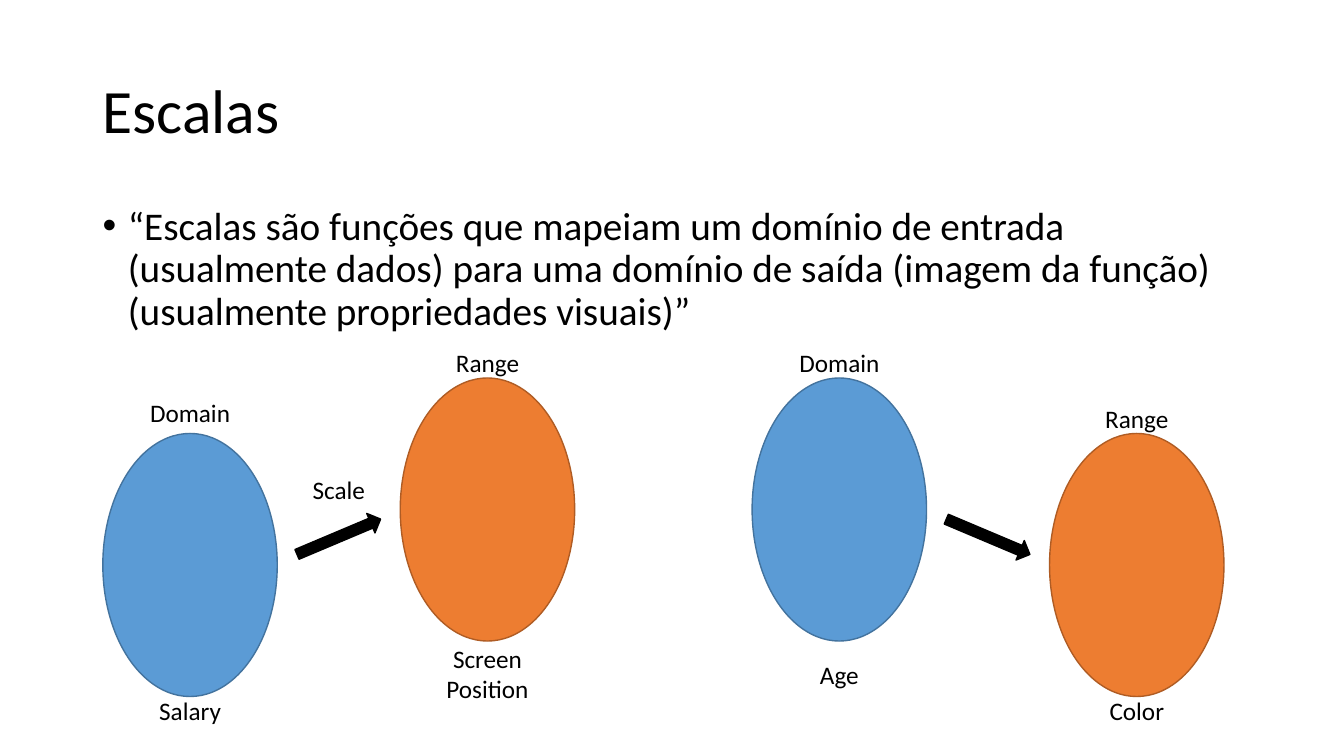
"""Build a slide explaining scales as functions from a domain to a range."""
from dataclasses import dataclass

from lxml import etree
from pptx import Presentation
from pptx.dml.color import RGBColor
from pptx.enum.shapes import MSO_SHAPE
from pptx.enum.text import MSO_ANCHOR, PP_ALIGN
from pptx.oxml.ns import qn
from pptx.slide import Slide
from pptx.text.text import _Paragraph
from pptx.util import Inches, Pt

BLACK = RGBColor(0x00, 0x00, 0x00)
BLUE = RGBColor(0x5B, 0x9B, 0xD5)
DARK_BLUE = RGBColor(0x43, 0x73, 0x9E)
ORANGE = RGBColor(0xED, 0x7D, 0x31)
DARK_ORANGE = RGBColor(0xAF, 0x5C, 0x24)

ELLIPSE, LEFT_ARROW = MSO_SHAPE.OVAL, MSO_SHAPE.LEFT_ARROW
TOP, MIDDLE = MSO_ANCHOR.TOP, MSO_ANCHOR.MIDDLE
LEFT, CENTER = PP_ALIGN.LEFT, PP_ALIGN.CENTER

FONT = "Calibri"
SET_WIDTH, SET_HEIGHT = 1.73, 2.61
LABEL_WIDTH, LABEL_HEIGHT = 1.38, 0.4
LABEL_INSET = (SET_WIDTH - LABEL_WIDTH) / 2
RANGE_OFFSET = 2.95
ARROW_OFFSET, ARROW_TOP = 1.89, 5.22
ARROW_WIDTH, ARROW_HEIGHT = 0.9, 0.21


@dataclass(frozen=True)
class ValueSet:
    """An ellipse with its role above and its example below."""
    top: float
    role: str
    role_top: float
    example: str
    example_top: float
    example_height: float = LABEL_HEIGHT


@dataclass(frozen=True)
class Mapping:
    """A domain, a range and the arrow between them."""
    left: float
    domain: ValueSet
    image: ValueSet
    rotation: float


MAPPINGS = [
    Mapping(1.02, ValueSet(4.3, "Domain", 3.89, "Salary", 6.85),
            ValueSet(3.75, "Range", 3.4, "Screen Position", 6.33, 0.71), 157.1),
    Mapping(7.46, ValueSet(3.75, "Domain", 3.4, "Age", 6.49),
            ValueSet(4.3, "Range", 3.95, "Color", 6.85), 202.9),
]


def add_text(slide: Slide, text: str, left: float, top: float, width: float,
             height: float, size: int, align: PP_ALIGN = LEFT,
             anchor: MSO_ANCHOR = TOP) -> _Paragraph:
    """Add a wrapped text box and return its paragraph."""
    box = slide.shapes.add_textbox(Inches(left), Inches(top), Inches(width), Inches(height))
    frame = box.text_frame
    frame.word_wrap = True
    frame.vertical_anchor = anchor
    paragraph = frame.paragraphs[0]
    paragraph.text = text
    paragraph.alignment = align
    paragraph.font.name = FONT
    paragraph.font.size = Pt(size)
    paragraph.font.color.rgb = BLACK
    return paragraph


def add_label(slide: Slide, text: str, left: float, top: float,
              height: float = LABEL_HEIGHT) -> None:
    """Add a centred diagram label."""
    add_text(slide, text, left, top, LABEL_WIDTH, height, 18, CENTER)


def add_figure(slide: Slide, kind: MSO_SHAPE, left: float, top: float, width: float,
               height: float, fill: RGBColor, line: RGBColor, rotation: float = 0) -> None:
    """Add a filled and outlined preset shape."""
    figure = slide.shapes.add_shape(kind, Inches(left), Inches(top),
                                    Inches(width), Inches(height))
    figure.shadow.inherit = False
    figure.fill.solid()
    figure.fill.fore_color.rgb = fill
    figure.line.color.rgb = line
    figure.line.width = Pt(1)
    figure.rotation = rotation


def add_value_set(slide: Slide, values: ValueSet, left: float,
                  fill: RGBColor, line: RGBColor) -> None:
    """Draw an ellipse and its two labels."""
    add_figure(slide, ELLIPSE, left, values.top, SET_WIDTH, SET_HEIGHT, fill, line)
    add_label(slide, values.role, left + LABEL_INSET, values.role_top)
    add_label(slide, values.example, left + LABEL_INSET, values.example_top,
              values.example_height)


def add_mapping(slide: Slide, mapping: Mapping) -> None:
    """Draw a domain, its range and the arrow joining them."""
    add_value_set(slide, mapping.domain, mapping.left, BLUE, DARK_BLUE)
    add_value_set(slide, mapping.image, mapping.left + RANGE_OFFSET, ORANGE, DARK_ORANGE)
    add_figure(slide, LEFT_ARROW, mapping.left + ARROW_OFFSET, ARROW_TOP,
               ARROW_WIDTH, ARROW_HEIGHT, BLACK, BLACK, mapping.rotation)


def add_bullet(paragraph: _Paragraph) -> None:
    """Give the paragraph a round bullet with a hanging indent."""
    properties = paragraph._p.get_or_add_pPr()
    properties.set("marL", str(Inches(0.25)))
    properties.set("indent", str(Inches(-0.25)))
    etree.SubElement(properties, qn("a:buFont")).set("typeface", "Arial")
    etree.SubElement(properties, qn("a:buChar")).set("char", "•")
    properties.append(properties.find(qn("a:defRPr")))


def main() -> None:
    """Build and save the presentation."""
    deck = Presentation()
    deck.slide_width, deck.slide_height = Inches(13.33), Inches(7.5)
    slide = deck.slides.add_slide(deck.slide_layouts[6])

    title = add_text(slide, "Escalas", 0.92, 0.4, 11.5, 1.45, 44, anchor=MIDDLE)
    title.line_spacing = 0.9

    definition = add_text(
        slide,
        "“Escalas são funções que mapeiam um domínio de entrada (usualmente dados) "
        "para uma domínio de saída (imagem da função) (usualmente propriedades visuais)”",
        0.92, 2, 11.5, 4.76, 28)
    definition.line_spacing = 0.9
    definition.space_before = Pt(10)
    add_bullet(definition)

    for mapping in MAPPINGS:
        add_mapping(slide, mapping)
    add_label(slide, "Scale", 2.67, 4.66)

    deck.save("out.pptx")


if __name__ == "__main__":
    main()
